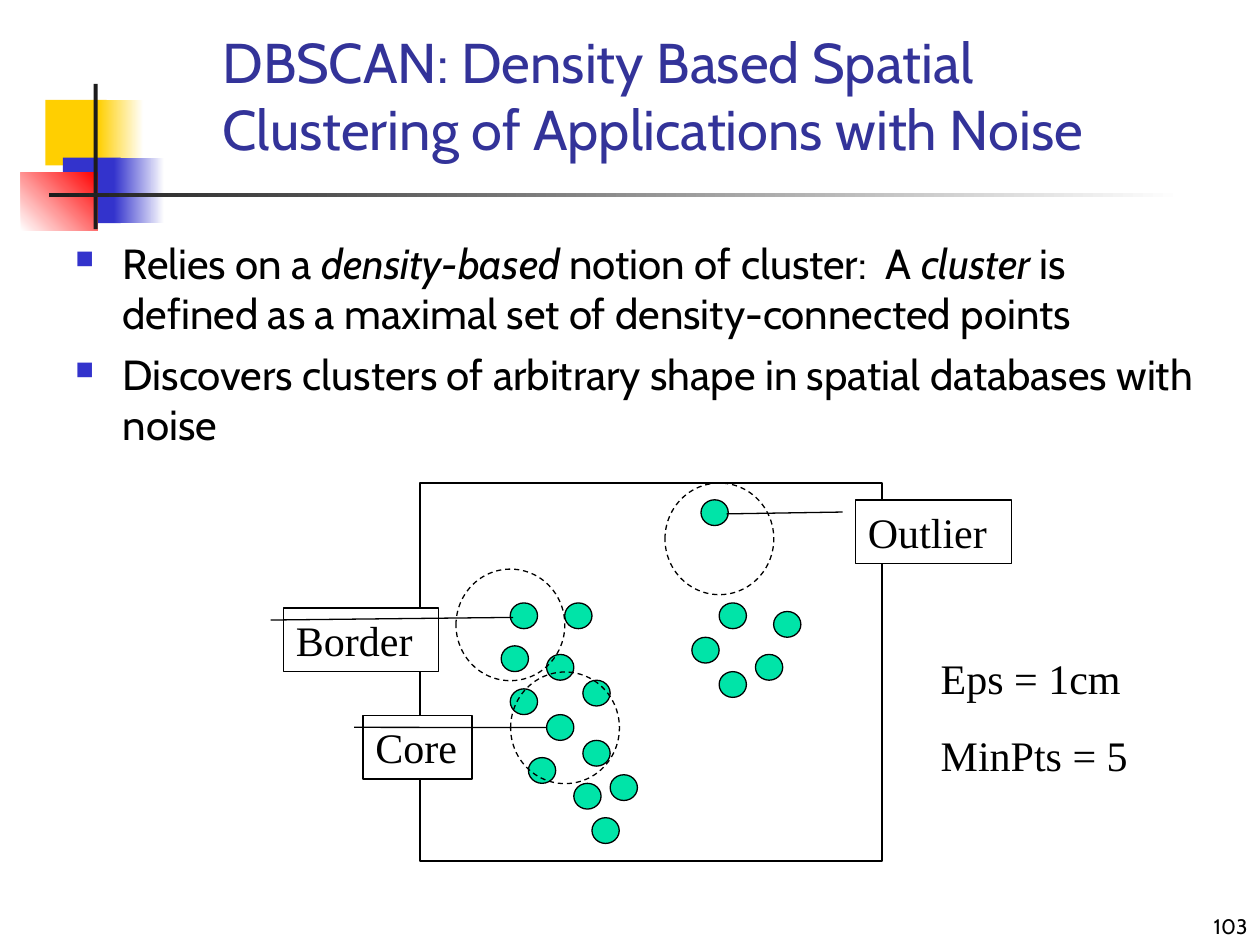
from typing import NamedTuple

from lxml.etree import SubElement as Sub
from pptx import Presentation
from pptx.dml.color import RGBColor as Rgb
from pptx.enum.dml import MSO_LINE as Dash
from pptx.enum.shapes import MSO_SHAPE as Kind
from pptx.enum.text import MSO_ANCHOR as Anchor, PP_ALIGN as Align
from pptx.oxml.ns import qn
from pptx.util import Pt

HUES = {
    "ink": "000000", "paper": "FFFFFF", "title": "333399", "gold": "FFCF01",
    "blue": "3333CC", "red": "FF0000", "coal": "1C1C1C", "dot": "00E4A8",
}
SANS, SERIF = "Cabin", "Times New Roman"


class Box(NamedTuple):
    x: float
    y: float
    w: float
    h: float


class Block(NamedTuple):
    box: Box
    hue: str
    fade: str = ""
    angle: float = 0


class Label(NamedTuple):
    text: str
    box: Box
    ends: tuple  # pointer start y, x and end y, x as shares of the box


def tint(name: str) -> Rgb:
    return Rgb.from_string(HUES[name])


def draw(kind: Kind, box: Box, fill: str = "", line: str = "", dash: bool = False):
    shape = slide.shapes.add_shape(kind, *map(Pt, box))
    shape.shadow.inherit = False
    if fill:
        shape.fill.solid()
        shape.fill.fore_color.rgb = tint(fill)
    else:
        shape.fill.background()
    if line:
        shape.line.color.rgb = tint(line)
        shape.line.width = Pt(0.75)
        if dash:
            shape.line.dash_style = Dash.DASH
    else:
        shape.line.fill.background()
    return shape


def paint(block: Block) -> None:
    shape = draw(Kind.RECTANGLE, block.box, block.hue)
    if block.fade:
        shape.fill.gradient()
        shape.fill.gradient_angle = block.angle
        for stop, hue in zip(shape.fill.gradient_stops, (block.hue, block.fade)):
            stop.color.rgb = tint(hue)


def bullet(para) -> None:
    props = para._p.get_or_add_pPr()
    props.set("marL", str(Pt(27)))
    props.set("indent", str(Pt(-27)))
    Sub(Sub(props, qn("a:buClr")), qn("a:srgbClr"), val=HUES["blue"])
    Sub(props, qn("a:buSzPct"), val="60000")
    Sub(props, qn("a:buChar"), char="■")


def write(shape, paras: list, size: float = 24, font: str = SERIF, hue: str = "ink",
          align: Align = Align.LEFT, anchor: Anchor = Anchor.TOP,
          gap: float = 0, marks: bool = False) -> None:
    """Fill a shape with text; odd pieces of a paragraph split at * are italic."""
    frame = shape.text_frame
    frame.word_wrap = True
    frame.vertical_anchor = anchor
    for i, text in enumerate(paras):
        para = frame.add_paragraph() if i else frame.paragraphs[0]
        para.alignment = align
        if i:
            para.space_before = Pt(gap)
        if marks:
            bullet(para)
        for j, piece in enumerate(text.split("*")):
            run = para.add_run()
            run.text = piece
            run.font.size, run.font.name = Pt(size), font
            run.font.color.rgb = tint(hue)
            run.font.italic = j % 2 == 1


def text_box(box: Box, paras: list, **style) -> None:
    write(slide.shapes.add_textbox(*map(Pt, box)), paras, **style)


deck = Presentation()
deck.slide_width, deck.slide_height = Pt(720), Pt(540)
slide = deck.slides.add_slide(deck.slide_layouts[6])

# Corner ornament and rule
for block in (
    Block(Box(26, 57, 35, 37.5), "gold"),
    Block(Box(56, 57, 26, 37.5), "gold", "paper"),
    Block(Box(36, 90, 33, 37.5), "blue"),
    Block(Box(65, 90, 29, 37.5), "blue", "paper"),
    Block(Box(12, 98.5, 44, 33.5), "paper", "red", 45),
    Block(Box(53.5, 48, 2.3, 83), "coal"),
    Block(Box(28, 110.5, 648, 2.3), "coal", "paper"),
):
    paint(block)

# Page number, title and body
text_box(Box(570, 510, 150, 30), ["103"], size=12, font=SANS,
         align=Align.RIGHT, anchor=Anchor.BOTTOM)
text_box(Box(120, 18, 570, 78),
         ["DBSCAN: Density Based Spatial Clustering of Applications with Noise"],
         size=32, font=SANS, hue="title", anchor=Anchor.BOTTOM)
text_box(Box(36, 132, 654, 384), [
    "Relies on a *density-based* notion of cluster:  A *cluster* is defined "
    "as a maximal set of density-connected points",
    "Discovers clusters of arbitrary shape in spatial databases with noise",
], font=SANS, gap=6, marks=True)

# Data points, as columns and rows of a fine grid
LEFT, TOP, COL, ROW = 286.4, 285.6, 5.19, 4.91
DOTS = (
    (1, 12), (0, 17), (5, 18), (7, 12), (9, 21), (1, 22), (5, 25), (3, 30),
    (8, 33), (10, 37), (9, 28), (12, 32),
    (22, 0), (24, 12), (21, 16), (28, 18), (30, 13), (24, 20),
)
for col, row in DOTS:
    draw(Kind.OVAL, Box(LEFT + col * COL, TOP + row * ROW, 15.6, 14.7), "dot", "ink")

# Plot frame and neighbourhoods
draw(Kind.RECTANGLE, Box(240, 276, 264, 216), line="ink")
for x, y in ((260.6, 325.2), (291.8, 384), (380, 276)):
    draw(Kind.OVAL, Box(x, y, 62.2, 63.8), line="ink", dash=True)

# Labels with pointers
for label in (
    Label("Core", Box(207.5, 408.8, 62.3, 36.3), (0.188, -0.083, 0.191, 1.687)),
    Label("Border", Box(162, 347.5, 88.4, 36.3), (0.188, -0.083, 0.146, 1.485)),
    Label("Outlier", Box(488.9, 285.8, 89, 36.3), (0.188, -0.083, 0.217, -0.828)),
):
    shape = draw(Kind.LINE_CALLOUT_1, label.box, "paper", "ink")
    for i, end in enumerate(label.ends):
        shape.adjustments[i] = end
    write(shape, [label.text])

# Parameters
text_box(Box(530.5, 369.5, 130, 80), ["Eps = 1cm", "MinPts = 5"], gap=15)

deck.save("out.pptx")
